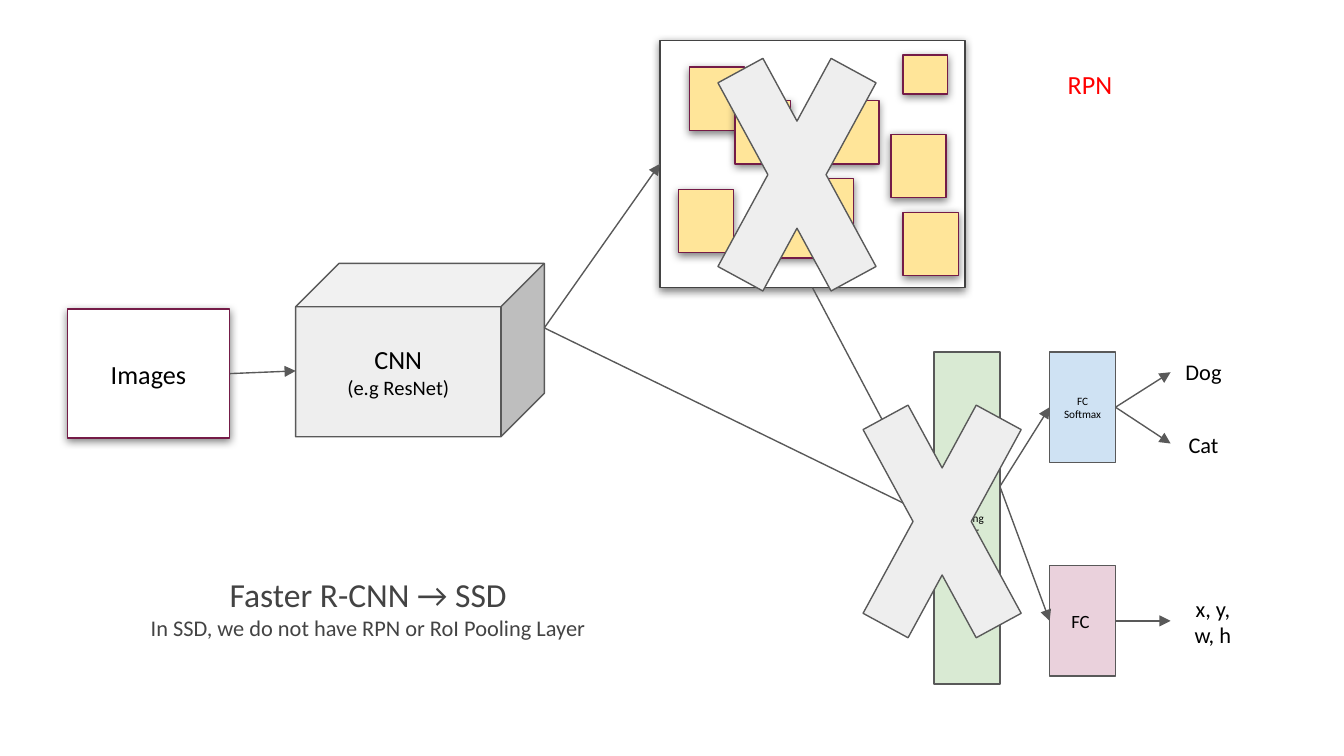
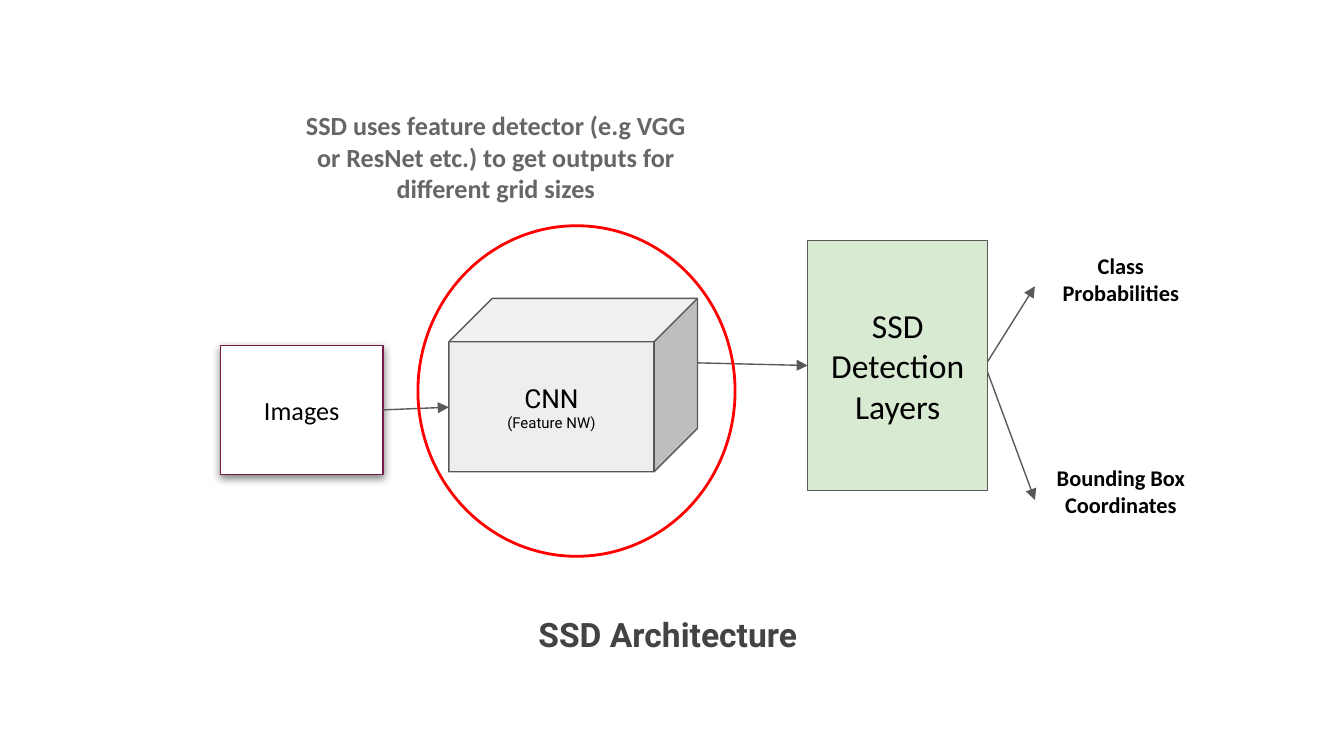
from pptx import Presentation
from pptx.dml.color import RGBColor
from pptx.enum.shapes import MSO_CONNECTOR, MSO_SHAPE
from pptx.enum.text import MSO_ANCHOR, PP_ALIGN
from pptx.oxml import parse_xml
from pptx.oxml.ns import nsdecls, qn
from pptx.util import Inches, Pt

HUES = {
    "black": "000000", "white": "FFFFFF", "dark": "434343", "edge": "595959",
    "grey": "666666", "pale": "EEEEEE", "plum": "741B47", "red": "FF0000",
    "blue": "CFE2F3", "pink": "EAD1DC", "green": "D9EAD3", "gold": "FFE599",
}
RGB = {name: RGBColor.from_string(code) for name, code in HUES.items()}
LEFT, BOTTOM, RIGHT = 1, 2, 3
SHADOW = (
    f'<a:outerShdw {nsdecls("a")} blurRad="{Pt(4.5)}" dist="{Pt(1.5)}" dir="5400000" '
    'algn="bl" rotWithShape="0"><a:srgbClr val="000000"><a:alpha val="50000"/>'
    "</a:srgbClr></a:outerShdw>"
)
ARROW = f'<a:tailEnd {nsdecls("a")} type="triangle"/>'
FLAT = f'<a:effectLst {nsdecls("a")}/>'


def box(page, at, text="", kind=None, fill=None, line="edge", width=0.75, adj=None,
        shade=False, size=(14,), font="Calibri", hue="black", bold=False,
        anchor=MSO_ANCHOR.MIDDLE):
    """Add a shape of the given kind, or a text box if kind is None; size has one entry per line."""
    area = [Inches(n) for n in at]
    if kind is None:
        item = page.shapes.add_textbox(*area)
    else:
        item = page.shapes.add_shape(kind, *area)
        item.shadow.inherit = False
        if shade:
            item._element.spPr.find(qn("a:effectLst")).append(parse_xml(SHADOW))
        if fill:
            item.fill.solid()
            item.fill.fore_color.rgb = RGB[fill]
        else:
            item.fill.background()
        item.line.color.rgb = RGB[line]
        item.line.width = Pt(width)
        if adj is not None:
            item.adjustments[0] = adj
    if text:
        frame = item.text_frame
        frame.word_wrap = True
        frame.vertical_anchor = anchor
        frame.margin_left = frame.margin_right = Inches(0.1)
        frame.margin_top = frame.margin_bottom = Inches(0.1)
        frame.text = text
        for para, points in zip(frame.paragraphs, size):
            para.alignment = PP_ALIGN.CENTER
            face = para.runs[0].font
            face.size, face.name, face.bold = Pt(points), font, bold
            face.color.rgb = RGB[hue]
    return item


def wire(page, start, end):
    """Draw an arrow; each end is an (x, y) point or a (shape, side) pair."""
    link = page.shapes.add_connector(MSO_CONNECTOR.STRAIGHT, 0, 0, 0, 0)
    if hasattr(start[0], "left"):
        link.begin_connect(*start)
    else:
        link.begin_x, link.begin_y = [Inches(n) for n in start]
    if hasattr(end[0], "left"):
        link.end_connect(*end)
    else:
        link.end_x, link.end_y = [Inches(n) for n in end]
    link.line.color.rgb = RGB["edge"]
    link.line.width = Pt(0.75)
    link.line._get_or_add_ln().append(parse_xml(ARROW))
    link._element.spPr.append(parse_xml(FLAT))


RECT, CUBE = MSO_SHAPE.RECTANGLE, MSO_SHAPE.CUBE
INPUT = dict(text="Images", kind=RECT, fill="white", line="plum", shade=True)
NET = dict(kind=CUBE, fill="pale", adj=0.25)

deck = Presentation()
deck.slide_width = Inches(10)
deck.slide_height = deck.slide_width * 9 // 16
blank = deck.slide_layouts[6]

# Slide 1: from Faster R-CNN to SSD
page = deck.slides.add_slide(blank)
images = box(page, (0.5, 2.3, 1.21, 0.96), **INPUT)
softmax = box(page, (7.81, 2.62, 0.49, 0.82), "FC Softmax", RECT, "blue", size=(6,))
dense = box(page, (7.81, 4.21, 0.49, 0.82), "FC ", RECT, "pink", size=(10,))
for head in (softmax, dense):
    wire(page, (7.44, 3.62), (head, LEFT))
for label, top, wide, head, tip in (
    ("Dog", 2.62, 0.49, softmax, 2.77),
    ("Cat", 3.16, 0.49, softmax, 3.3),
    ("x, y, w, h", 4.48, 0.63, dense, 4.62),
):
    box(page, (8.71, top, wide, 0.29), label, size=(12,))
    wire(page, (head, RIGHT), (8.71, tip))
box(page, (0.57, 3.81, 4.34, 1.42),
    "Faster R-CNN → SSD\nIn SSD, we do not have RPN or RoI Pooling Layer",
    size=(18, 12), hue="dark")
box(page, (2.2, 1.96, 1.85, 1.29), "CNN\n(e.g ResNet)", size=(14, 11), **NET)
wire(page, (images, RIGHT), (2.2, 2.76))
box(page, (7.27, 0.41, 1.68, 0.37), "RPN", hue="red", anchor=MSO_ANCHOR.TOP)
pool = box(page, (6.95, 2.62, 0.49, 2.47), "ROI\nPooling\nLayer", RECT, "green",
           size=(6, 6, 6))
rpn = box(page, (4.91, 0.3, 2.27, 1.84), kind=RECT, fill="white", line="dark", shade=True)
for x, y, w, h in (
    (5.13, 0.5, 0.41, 0.47), (5.72, 1.33, 0.63, 0.59), (5.47, 0.75, 0.41, 0.47),
    (6.72, 0.41, 0.33, 0.29), (6.72, 1.58, 0.41, 0.47), (5.05, 1.41, 0.41, 0.47),
    (6.13, 0.75, 0.41, 0.47), (6.63, 1, 0.41, 0.47),
):
    box(page, (x, y, w, h), kind=RECT, fill="gold", line="plum", shade=True)
wire(page, (4.05, 2.44), (rpn, LEFT))
wire(page, (4.05, 2.44), (pool, LEFT))
wire(page, (rpn, BOTTOM), (pool, LEFT))
for x, y in ((5.12, -0.19), (6.2, 2.39)):
    box(page, (x, y, 1.62, 2.98), kind=MSO_SHAPE.MATH_MULTIPLY, fill="pale", adj=0.235)

# Slide 2: SSD architecture
page = deck.slides.add_slide(blank)
images = box(page, (1.64, 2.57, 1.21, 0.96), **INPUT)
for tip in (2.13, 3.72):
    wire(page, (7.33, 2.72), (7.7, tip))
box(page, (2.83, 4.31, 4.34, 0.82), "SSD Architecture ", size=(18,), font="Roboto",
    hue="dark", bold=True)
box(page, (3.34, 2.22, 1.85, 1.29), "CNN\n(Feature NW)", size=(14, 8), font="Roboto", **NET)
wire(page, (images, RIGHT), (3.34, 3.03))
layers = box(page, (6.01, 1.79, 1.34, 1.86), "SSD Detection Layers", RECT, "green",
             size=(18,))
wire(page, (5.19, 2.7), (layers, LEFT))
box(page, (3.11, 1.68, 2.36, 2.46), kind=MSO_SHAPE.OVAL, line="red", width=1.5)
box(page, (2.11, 0.62, 3.16, 1.09),
    "SSD uses feature detector (e.g VGG or ResNet etc.) to get outputs for "
    "different grid sizes", hue="grey", bold=True)
for label, top in (("Class Probabilities", 1.93), ("Bounding Box Coordinates", 3.51)):
    box(page, (7.67, top, 1.34, 0.29), label, size=(12,), bold=True)

deck.save("out.pptx")
